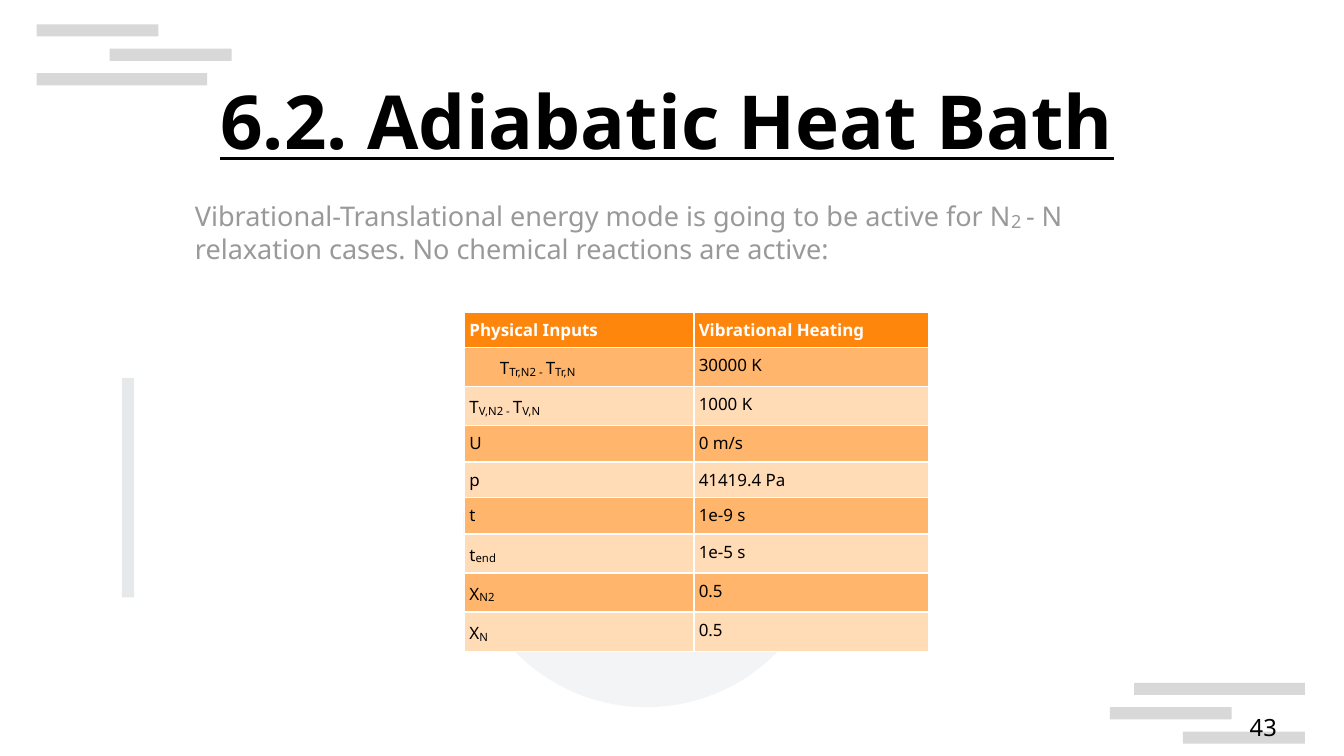
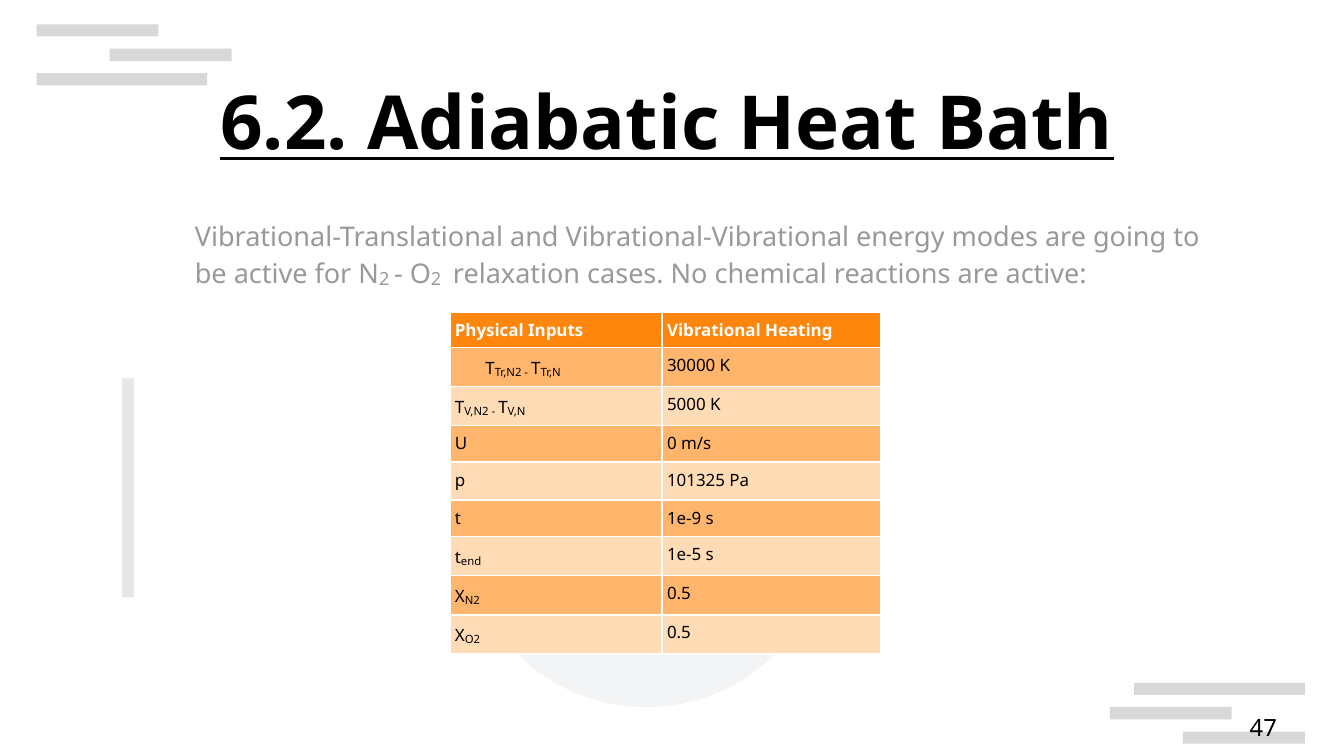
from lxml.etree import SubElement
from pptx import Presentation
from pptx.dml.color import RGBColor
from pptx.enum.shapes import MSO_SHAPE
from pptx.enum.text import MSO_ANCHOR, MSO_AUTO_SIZE, PP_ALIGN
from pptx.oxml.ns import qn
from pptx.util import Inches, Pt

# Shared style
FONT = "Noto Sans"
BLACK, WHITE, GREY = "000000", "FFFFFF", "999999"
HEAD, DARK, LIGHT = "FF860D", "FFB66C", "FFDBB6"
BARS = [(9.3, 5.6, 1.4), (9.1, 5.8, 1), (9.7, 6, 1),
        (0.3, 0.6, 1.4), (0.9, 0.4, 1), (0.3, 0.2, 1)]

# Text between bars is subscript: "normal|sub|normal"
LABELS = ["Physical Inputs", "T|Tr,N2 - |T|Tr,N", "T|V,N2 - |T|V,N",
          "U", "p", "t", "t|end", "X|N2"]


def color(code):
    return RGBColor.from_string(code)


def inches(*sizes):
    return [Inches(size) for size in sizes]


class Deck:
    def __init__(self):
        self.prs = Presentation()
        self.prs.slide_width, self.prs.slide_height = inches(11.02, 6.2)

    def start(self, title):
        """Add a slide with its bands and title."""
        self.slide = self.prs.slides.add_slide(self.prs.slide_layouts[5])
        self.shapes = self.slide.shapes
        for left, top, width in BARS:
            self.shape("RECTANGLE", (left, top, width, 0.1), "CCCCCC", 75)
        self.shape("OVAL", (3.8, 2.8, 3, 3), "8D99AE", 10)
        self.shape("RECTANGLE", (1, 3.1, 0.1, 1.8), "CED4DA", 50)
        self.title(title)

    def shape(self, kind, box, fill, alpha):
        shape = self.shapes.add_shape(getattr(MSO_SHAPE, kind), *inches(*box))
        shape.shadow.inherit = False
        shape.line.fill.background()
        shape.fill.solid()
        shape.fill.fore_color.rgb = color(fill)
        tone = shape._element.spPr.find(".//" + qn("a:srgbClr"))
        SubElement(tone, qn("a:alpha"), val=str(alpha * 1000))

    def runs(self, para, text, size, shade, sub=0, **style):
        """Add runs, every second part as subscript."""
        for i, part in enumerate(text.split("|")):
            run = para.add_run()
            run.text = part
            low = i % 2
            look = {"name": FONT, "size": Pt(sub if low else size), **style}
            for name, value in look.items():
                setattr(run.font, name, value)
            run.font.color.rgb = color(shade)
            if low:
                run._r.get_or_add_rPr().set("baseline", "-8000")

    def frame(self, shape, box, pad, **look):
        """Place a text shape and set its frame."""
        spots = ("left", "top", "width", "height")
        for name, value in zip(spots, inches(*box)):
            setattr(shape, name, value)
        frame = shape.text_frame
        self.pad(frame, *pad)
        for name, value in {"word_wrap": True, **look}.items():
            setattr(frame, name, value)
        return frame.paragraphs[0]

    def pad(self, item, side, edge):
        sides = {"left": side, "right": side, "top": edge, "bottom": edge}
        for name, value in sides.items():
            setattr(item, "margin_" + name, Inches(value))

    def title(self, text):
        shape = self.shapes.title
        self.shapes._spTree.append(shape._element)  # above the bands
        para = self.frame(shape, (0.51, 0.51, 9.92, 1.03), (0, 0),
                          vertical_anchor=MSO_ANCHOR.MIDDLE,
                          auto_size=MSO_AUTO_SIZE.NONE)
        para.alignment = PP_ALIGN.CENTER
        para.line_spacing = 0.9
        self.runs(para, text, 44, BLACK, bold=True, underline=True)

    def box(self, box, pad, **look):
        return self.frame(self.shapes.add_textbox(0, 0, 0, 0), box, pad, **look)

    def body(self, text, top, width):
        para = self.box((1.5, top, width, 0.7), (0.1, 0.05),
                        auto_size=MSO_AUTO_SIZE.SHAPE_TO_FIT_TEXT)
        self.runs(para, text, 16, GREY, 18.5)

    def page(self, number):
        para = self.box((7.9, 5.65, 2.57, 0.43), (0, 0),
                        vertical_anchor=MSO_ANCHOR.BOTTOM)
        para.alignment = PP_ALIGN.RIGHT
        self.runs(para, str(number), 14, BLACK)

    def table(self, left, cols, rows, data):
        box = inches(left, 2.56, sum(cols), sum(rows))
        table = self.shapes.add_table(len(data), len(cols), *box).table
        for col, width in zip(table.columns, cols):
            col.width = Inches(width)
        for r, (line, height) in enumerate(zip(data, rows)):
            table.rows[r].height = Inches(height)
            for c, text in enumerate(line):
                self.cell(table.cell(r, c), text, r)
        # First label is centred in height and set in
        first = table.cell(1, 0)
        first.vertical_anchor = MSO_ANCHOR.MIDDLE
        para = first.text_frame.paragraphs[0]
        para._p.get_or_add_pPr().set("marL", str(Inches(0.25)))

    def cell(self, cell, text, row):
        self.pad(cell, 0.04, 0.05)
        props = cell._tc.get_or_add_tcPr()
        for side in "LRTB":
            edge = SubElement(props, qn("a:ln" + side), w=str(Pt(1.13)))
            fill = SubElement(edge, qn("a:solidFill"))
            SubElement(fill, qn("a:srgbClr"), val=WHITE)
        cell.fill.solid()
        tone = HEAD if row == 0 else DARK if row % 2 else LIGHT
        cell.fill.fore_color.rgb = color(tone)
        self.runs(cell.text_frame.paragraphs[0], text, 10,
                  BLACK if row else WHITE, 11.6, bold=row == 0)


def inputs(heat, force, last):
    """Pair the labels with the values of one case."""
    values = ["Vibrational Heating", "30000 K", heat, "0 m/s", force,
              "1e-9 s", "1e-5 s", "0.5", "0.5"]
    return list(zip(LABELS + [last], values))


def main():
    deck = Deck()
    title = "6.2. Adiabatic Heat Bath"

    # Nitrogen molecule and atom
    deck.start(title)
    deck.table(3.81, (1.88, 1.93), [0.29, 0.3, 0.32, 0.3, 0.29] + [0.3] * 4,
               inputs("1000 K", "41419.4 Pa", "X|N"))
    deck.body("Vibrational-Translational energy mode is going to be active "
              "for N|2 |- N relaxation cases. No chemical reactions are "
              "active:", 1.55, 7.75)
    deck.page(43)

    # Nitrogen and oxygen molecules
    deck.start(title)
    deck.table(3.69, (1.74, 1.79), [0.29, 0.3, 0.31, 0.3, 0.31] + [0.3] * 4,
               inputs("5000 K", "101325 Pa", "X|O2"))
    deck.body("Vibrational-Translational and Vibrational-Vibrational energy "
              "modes are going to be active for N|2 |- O|2 | relaxation "
              "cases. No chemical reactions are active:", 1.75, 8.5)
    deck.page(47)

    deck.prs.save("out.pptx")


if __name__ == "__main__":
    main()
